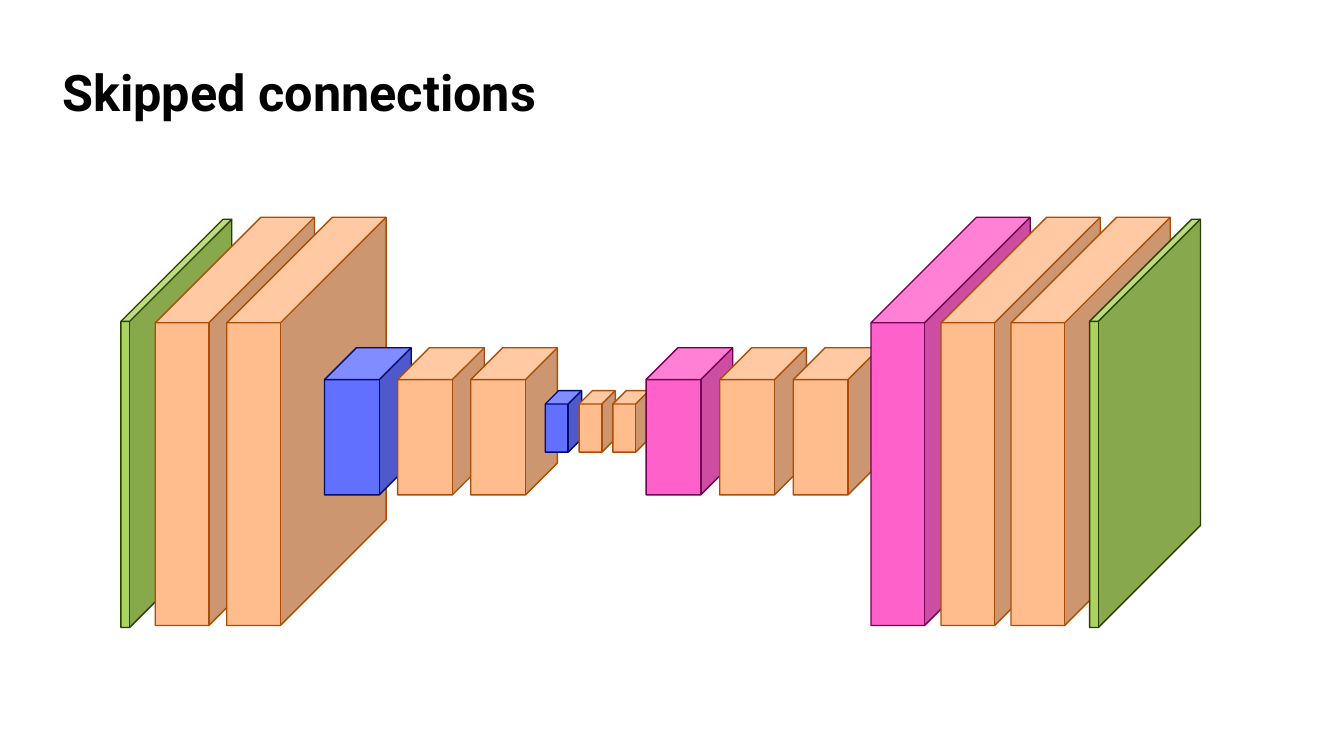
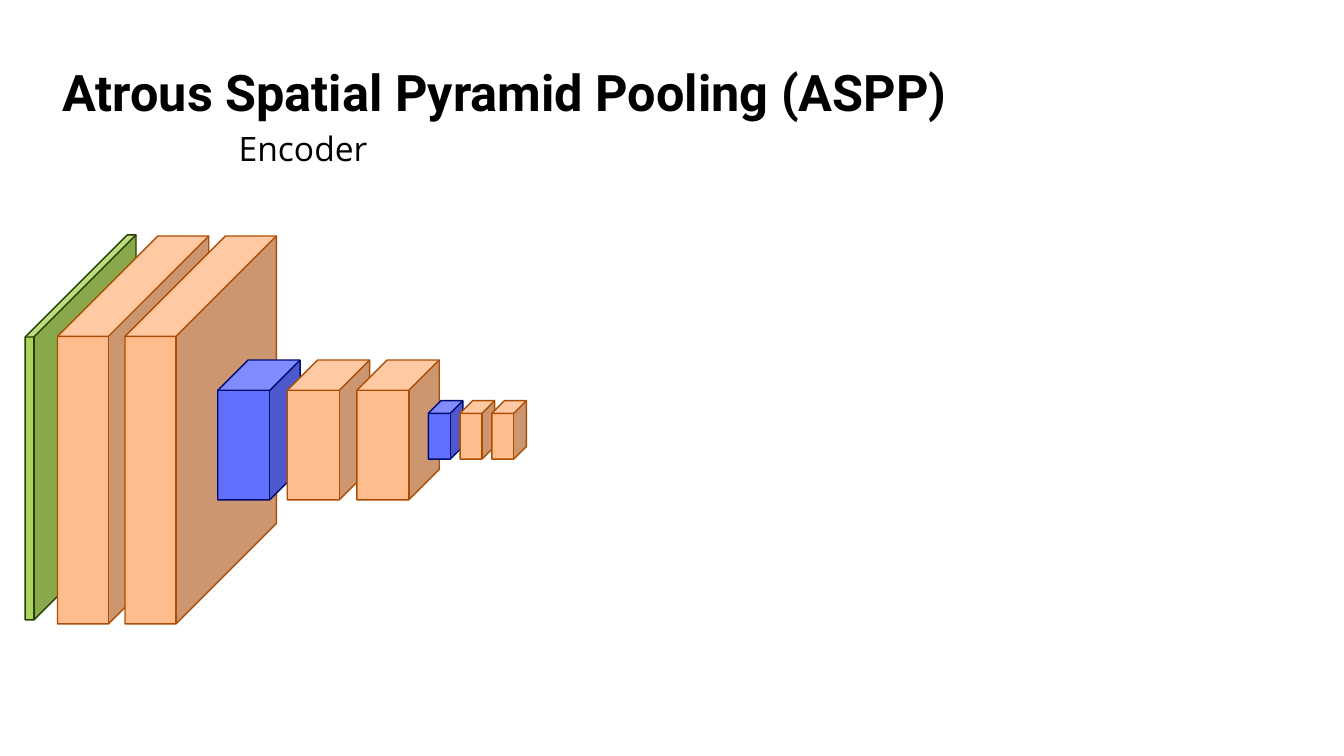
from dataclasses import dataclass, replace

from pptx import Presentation
from pptx.dml.color import RGBColor
from pptx.enum.shapes import MSO_SHAPE
from pptx.enum.text import MSO_ANCHOR
from pptx.util import Inches, Pt

CUBE = MSO_SHAPE.CUBE
TOP, MIDDLE = MSO_ANCHOR.TOP, MSO_ANCHOR.MIDDLE

# Colours
BLACK = RGBColor(0x00, 0x00, 0x00)
WHITE = RGBColor(0xFF, 0xFF, 0xFF)

# Layer tints: fill and outline
IMAGE = RGBColor(0xAA, 0xD3, 0x5F), RGBColor(0x28, 0x3E, 0x00)
CONVOLUTION = RGBColor(0xFF, 0xBD, 0x8D), RGBColor(0xAD, 0x4D, 0x05)
POOLING = RGBColor(0x61, 0x70, 0xFF), RGBColor(0x00, 0x0B, 0x70)
UPSAMPLING = RGBColor(0xFF, 0x61, 0xCA), RGBColor(0x70, 0x00, 0x53)

DOWN_STAGE = [POOLING, CONVOLUTION, CONVOLUTION]
UP_STAGE = [UPSAMPLING, CONVOLUTION, CONVOLUTION]

# The grid has ten columns and ten rows to the inch
COLUMNS, ROWS = 133.33, 75


def grid(count):
    return Inches(count / 10)


@dataclass
class Block:
    """Outer size of a layer, its depth share and the row of its centre."""
    width: float
    height: float
    depth: float
    centre: float = 41.8

    def scaled(self, factor, centre):
        return replace(self, width=self.width * factor,
                       height=self.height * factor, centre=centre)


SLAB = Block(11, 40.5, 0.921, 42)
LARGE = Block(15.8, 40.5, 0.663)
MEDIUM = Block(8.6, 14.6, 0.368)
SMALL = Block(3.6, 6.1, 0.368)


class Slides:
    """Holds the deck, its style and the current page."""

    def __init__(self):
        self.deck = Presentation()
        self.deck.slide_width = grid(COLUMNS)
        self.deck.slide_height = grid(ROWS)
        self.page = None

    def new_page(self, title):
        self.page = self.deck.slides.add_slide(self.deck.slide_layouts[6])
        self.page.background.fill.solid()
        self.page.background.fill.fore_color.rgb = WHITE
        para = self.text(title, 5.2, 5.8, 126.9, 7.2, "Roboto", 36, MIDDLE)
        para.font.bold = True
        para.line_spacing = 0.9

    def text(self, words, left, top, width, height, font, size, anchor=TOP):
        box = self.page.shapes.add_textbox(
            grid(left), grid(top), grid(width), grid(height))
        frame = box.text_frame
        frame.word_wrap = True
        frame.vertical_anchor = anchor
        para = frame.paragraphs[0]
        para.text = words
        para.font.name = font
        para.font.size = Pt(size)
        para.font.color.rgb = BLACK
        return para

    def layer(self, left, block, tint):
        cube = self.page.shapes.add_shape(
            CUBE, grid(left), grid(block.centre - block.height / 2),
            grid(block.width), grid(block.height))
        cube.adjustments[0] = block.depth
        cube.shadow.inherit = False
        fill, outline = tint
        cube.fill.solid()
        cube.fill.fore_color.rgb = fill
        cube.line.color.rgb = outline
        cube.line.width = Pt(1)

    def stage(self, left, step, block, tints):
        for index, tint in enumerate(tints):
            self.layer(left + index * step, block, tint)

    def save(self):
        self.deck.save("out.pptx")


def skipped_connections(slides):
    slides.new_page("Skipped connections")
    # Encoder
    slides.layer(12, SLAB, IMAGE)
    slides.stage(15.4, 7.1, LARGE, [CONVOLUTION] * 2)
    slides.stage(32.2, 7.25, MEDIUM, DOWN_STAGE)
    slides.stage(54.1, 3.35, SMALL, DOWN_STAGE)
    # Decoder
    slides.stage(64.1, 7.3, MEDIUM, UP_STAGE)
    slides.stage(86.4, 6.95, LARGE, UP_STAGE)
    slides.layer(108.1, SLAB, IMAGE)


def pyramid_pooling(slides):
    slides.new_page("Atrous Spatial Pyramid Pooling (ASPP)")
    slides.text("Encoder", 22.7, 12.2, 15, 5, "Open Sans", 24)
    # Encoder, slightly smaller and lower
    large, medium, small = (
        block.scaled(0.95, 42.65) for block in (LARGE, MEDIUM, SMALL))
    slides.layer(2.5, replace(SLAB, height=38.2, centre=42.4), IMAGE)
    slides.stage(5.7, 6.7, large, [CONVOLUTION] * 2)
    slides.stage(21.6, 6.9, medium, DOWN_STAGE)
    slides.stage(42.5, 3.15, small, DOWN_STAGE)


def main():
    slides = Slides()
    skipped_connections(slides)
    pyramid_pooling(slides)
    slides.save()


if __name__ == "__main__":
    main()
